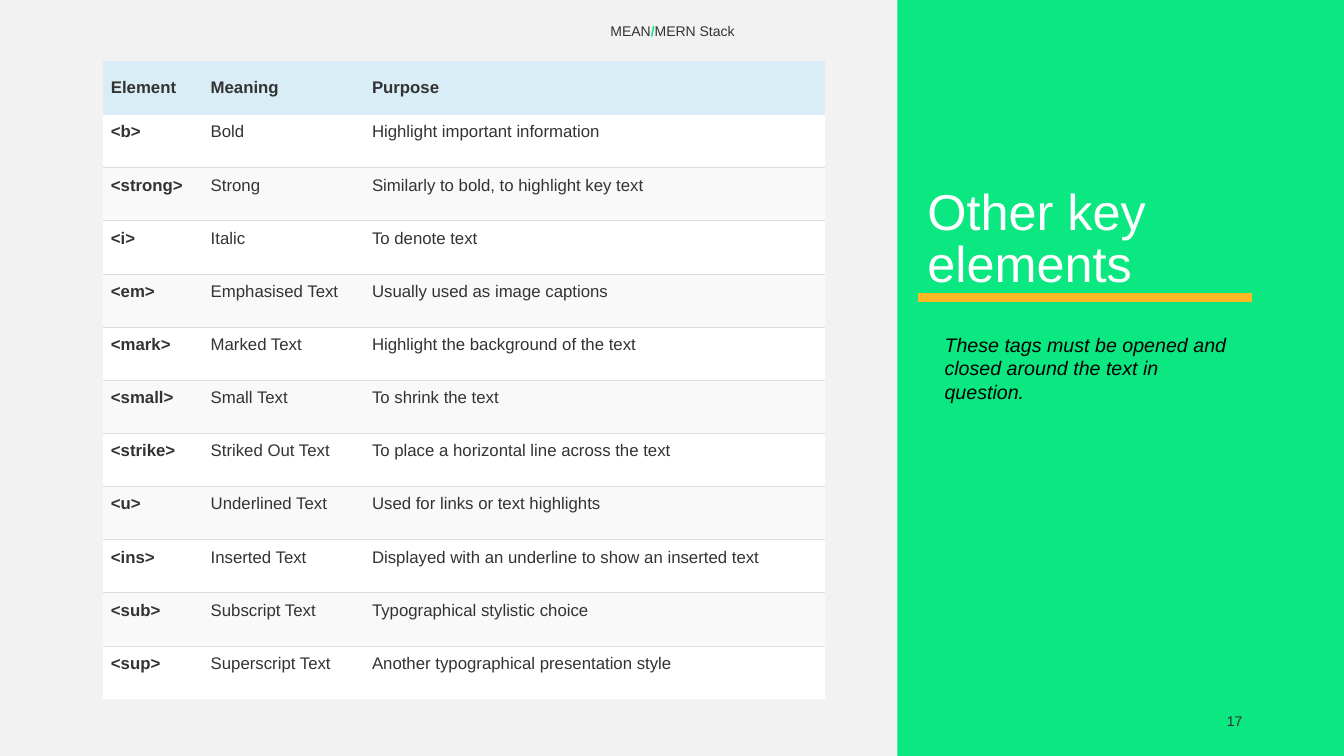
"""Build a slide with a table of HTML text elements beside a green title panel."""
from dataclasses import dataclass

from lxml.etree import SubElement
from pptx import Presentation
from pptx.dml.color import RGBColor
from pptx.enum.shapes import MSO_CONNECTOR, MSO_SHAPE
from pptx.enum.text import MSO_ANCHOR, PP_ALIGN
from pptx.oxml.ns import qn
from pptx.util import Inches, Pt

HEADER = ("Element", "Meaning", "Purpose")
ELEMENTS = [
    ("<b>", "Bold", "Highlight important information"),
    ("<strong>", "Strong", "Similarly to bold, to highlight key text"),
    ("<i>", "Italic", "To denote text"),
    ("<em>", "Emphasised Text", "Usually used as image captions"),
    ("<mark>", "Marked Text", "Highlight the background of the text"),
    ("<small>", "Small Text", "To shrink the text"),
    ("<strike>", "Striked Out Text", "To place a horizontal line across the text"),
    ("<u>", "Underlined Text", "Used for links or text highlights"),
    ("<ins>", "Inserted Text", "Displayed with an underline to show an inserted text"),
    ("<sub>", "Subscript Text", "Typographical stylistic choice"),
    ("<sup>", "Superscript Text", "Another typographical presentation style"),
]
TITLE = "Other key elements"
NOTE = "These tags must be opened and closed around the text in question."
COURSE = ("MEAN", "/", "MERN Stack")
PAGE_NUMBER = "17"


@dataclass(frozen=True)
class Theme:
    font: str = "Arial"
    background: str = "F2F2F2"
    panel: str = "0BE881"
    accent: str = "FDB823"
    white: str = "FFFFFF"
    black: str = "000000"
    text: str = "333333"
    header: str = "D9EDF7"
    band: str = "F9F9F9"
    rule: str = "DDDDDD"
    title_size: int = 36
    note_size: int = 14
    table_size: int = 12
    small_size: int = 10


THEME = Theme()
WIDTH, HEIGHT = 13.33, 7.5
PANEL_LEFT = 8.9
TITLE_LEFT, TITLE_WIDTH = 9.1, 3.32
TITLE_TOP, TITLE_BOTTOM = 0.45, 2.95
TABLE_LEFT, TABLE_TOP, TABLE_HEIGHT = 1.02, 0.61, 6.33
COLUMN_WIDTHS = (0.99, 1.6, 4.57)
CELL_MARGIN = 0.08


def color(code):
    return RGBColor.from_string(code)


def add_run(paragraph, text, *, size, ink=THEME.text, bold=False, italic=False):
    run = paragraph.add_run()
    run.text = text
    font = run.font
    font.name, font.size, font.bold, font.italic = THEME.font, Pt(size), bold, italic
    font.color.rgb = color(ink)


def add_text(slide, text, left, top, width, height, *, align=PP_ALIGN.LEFT,
             anchor=MSO_ANCHOR.MIDDLE, margin=0.05, spacing=None, **style):
    shape = slide.shapes.add_textbox(*map(Inches, (left, top, width, height)))
    frame = shape.text_frame
    frame.word_wrap = True
    frame.vertical_anchor = anchor
    frame.margin_top = frame.margin_bottom = Inches(margin)
    paragraph = frame.paragraphs[0]
    paragraph.alignment, paragraph.line_spacing = align, spacing
    if text:
        add_run(paragraph, text, **style)
    return paragraph


def set_borders(cell, top, bottom):
    properties = cell._tc.get_or_add_tcPr()
    for side, visible in (("L", False), ("R", False), ("T", top), ("B", bottom)):
        line = SubElement(properties, qn(f"a:ln{side}"), w=str(Pt(0.75)))
        if visible:
            fill = SubElement(line, qn("a:solidFill"))
            SubElement(fill, qn("a:srgbClr"), val=THEME.rule)
        else:
            SubElement(line, qn("a:noFill"))


def add_element_table(slide):
    rows = [HEADER, *ELEMENTS]
    frame = slide.shapes.add_table(
        len(rows), len(HEADER), Inches(TABLE_LEFT), Inches(TABLE_TOP),
        Inches(sum(COLUMN_WIDTHS)), Inches(TABLE_HEIGHT))
    table = frame.table
    table.horz_banding = table.first_row = False
    for column, width in zip(table.columns, COLUMN_WIDTHS):
        column.width = Inches(width)
    for row_index, texts in enumerate(rows):
        is_header = row_index == 0
        band = THEME.white if row_index % 2 else THEME.band
        for column_index, text in enumerate(texts):
            cell = table.cell(row_index, column_index)
            cell.margin_left = cell.margin_right = Inches(CELL_MARGIN)
            cell.margin_top = cell.margin_bottom = Inches(CELL_MARGIN)
            cell.vertical_anchor = MSO_ANCHOR.MIDDLE if is_header else MSO_ANCHOR.TOP
            set_borders(cell, row_index > 1, 0 < row_index < len(ELEMENTS))
            cell.fill.solid()
            cell.fill.fore_color.rgb = color(THEME.header if is_header else band)
            paragraph = cell.text_frame.paragraphs[0]
            paragraph.space_after = Pt(12)
            add_run(paragraph, text, size=THEME.table_size,
                    bold=is_header or column_index == 0)


def add_panel(slide):
    panel = slide.shapes.add_shape(
        MSO_SHAPE.RECTANGLE, Inches(PANEL_LEFT), 0,
        Inches(WIDTH - PANEL_LEFT), Inches(HEIGHT))
    panel.shadow.inherit = False
    panel.fill.solid()
    panel.fill.fore_color.rgb = color(THEME.panel)
    panel.line.fill.background()
    underline = slide.shapes.add_connector(
        MSO_CONNECTOR.STRAIGHT, Inches(TITLE_LEFT), Inches(TITLE_BOTTOM),
        Inches(TITLE_LEFT + TITLE_WIDTH), Inches(TITLE_BOTTOM))
    underline.line.color.rgb = color(THEME.accent)
    underline.line.width = Pt(6)
    SubElement(underline._element.spPr, qn("a:effectLst"))


def main():
    presentation = Presentation()
    presentation.slide_width, presentation.slide_height = Inches(WIDTH), Inches(HEIGHT)
    slide = presentation.slides.add_slide(presentation.slide_layouts[6])
    slide.background.fill.solid()
    slide.background.fill.fore_color.rgb = color(THEME.background)
    add_panel(slide)
    add_text(slide, TITLE, TITLE_LEFT, TITLE_TOP, TITLE_WIDTH, TITLE_BOTTOM - TITLE_TOP,
             anchor=MSO_ANCHOR.BOTTOM, spacing=0.85, size=THEME.title_size, ink=THEME.white)
    course = add_text(slide, "", 4.42, 0.11, 4.5, 0.4, align=PP_ALIGN.CENTER)
    for part in COURSE:
        is_slash = part == "/"
        add_run(course, part, size=THEME.small_size, bold=is_slash,
                ink=THEME.panel if is_slash else THEME.text)
    add_element_table(slide)
    add_text(slide, NOTE, 9.27, 3.2, 3, 0.91, anchor=MSO_ANCHOR.TOP, margin=0.1,
             size=THEME.note_size, ink=THEME.black, italic=True)
    add_text(slide, PAGE_NUMBER, 9.42, 6.95, 3, 0.4, align=PP_ALIGN.RIGHT,
             size=THEME.small_size)
    presentation.save("out.pptx")


if __name__ == "__main__":
    main()
